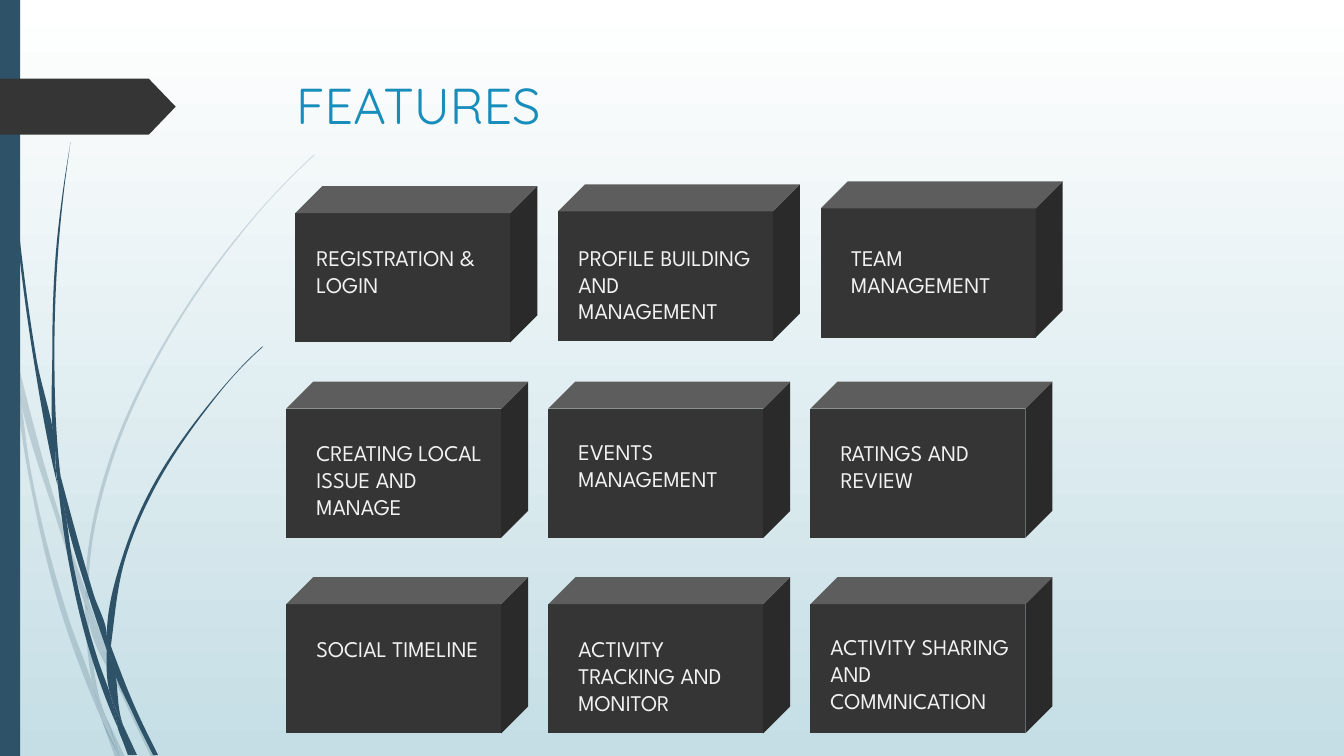
from dataclasses import dataclass

from lxml import etree
from pptx import Presentation
from pptx import util as u
from pptx.dml.color import RGBColor
from pptx.enum import shapes, text
from pptx.oxml.ns import qn

NAVY, CHARCOAL, BLUE, PALE_TEXT = "2E5369", "353535", "178DBB", "F2F2F2"
CUBE_SIZE = (172.8, 111.6)
FIRST_CUBE = (204.5, 132.9)
CUBE_STEP = (187.2, 139.7)
LABEL_INSET = (14.4, 37.7)
COLUMNS = 3
Edge = list[tuple[float, float]]


@dataclass
class Feature:
    """One cube with its caption, and small shifts from the grid."""
    caption: str
    cube_shift: tuple[float, float] = (0, 0)
    label_shift: tuple[float, float] = (0, 0)
    label_width: float = 143.3


@dataclass
class Blade:
    """Part of a grass stem: its two edges, from top to bottom."""
    left: Edge
    right: Edge


FEATURES = [
    Feature("REGISTRATION & LOGIN", (6.5, 0)),
    Feature("PROFILE BUILDING AND MANAGEMENT", (6.9, -1.2)),
    Feature("TEAM MANAGEMENT", (7.4, -3.4), (7.5, 0)),
    Feature("CREATING LOCAL ISSUE AND MANAGE"),
    Feature("EVENTS MANAGEMENT", label_shift=(0, -0.7)),
    Feature("RATINGS AND REVIEW"),
    Feature("SOCIAL TIMELINE"),
    Feature("ACTIVITY TRACKING AND MONITOR"),
    Feature("ACTIVITY SHARING AND COMMNICATION", label_shift=(-7.2, -1.2), label_width=157.7),
]

PALE_BLADES = [
    Blade([(0, 215.3), (7.2, 247.7), (7.9, 252)], [(0, 203), (6.5, 231.8), (7.9, 252)]),
    Blade([(10.1, 248.4), (12.2, 270.7), (41.8, 375.8), (60.5, 431.3)],
          [(10.1, 248.4), (44.6, 374.4), (61.2, 421.9)]),
    Blade([(63.4, 429.1), (63.4, 439.2), (88.6, 499.7), (108, 540.7)],
          [(63.4, 429.1), (66.2, 437), (91.4, 498.2), (111.6, 540.7)]),
    Blade([(75.6, 511.9), (85.7, 540.7)], [(75.6, 511.9), (89.3, 540.7)]),
    Blade([(7.9, 252), (20.2, 338.4), (46.8, 447.1), (66.2, 499), (72.7, 514.1)],
          [(7.9, 252), (12.2, 270.7), (22.3, 337.7), (50.4, 445.7), (67, 491.8),
           (71.3, 509), (72.7, 514.1)]),
    Blade([(60.5, 431.3), (62.6, 465.1), (67, 491.8), (69.1, 498.2), (75.6, 511.9)],
          [(60.5, 431.3), (63.4, 437.8), (63.4, 439.2), (65.5, 465.1), (74.2, 508.3),
           (75.6, 511.9)]),
    Blade([(224.6, 110.2), (208.1, 126), (193, 141.8), (164.2, 175.7), (113.8, 250.6),
           (77, 331.9), (61.2, 420.5), (61.2, 421.9), (63.4, 429.1)],
          [(224.6, 110.9), (208.8, 126), (193, 142.6), (164.9, 176.4), (115.2, 251.3),
           (79.2, 332.6), (63.4, 420.5), (63.4, 429.1)]),
    Blade([(72.7, 514.1), (82.1, 540.7)], [(72.7, 514.1), (85.7, 540.7)]),
    Blade([(61.2, 421.9), (60.5, 431.3), (63.4, 437.8), (63.4, 439.2)],
          [(61.2, 421.9), (63.4, 429.1), (63.4, 439.2)]),
    Blade([(67, 491.8), (71.3, 509), (72.7, 514.1), (85.7, 540.7)],
          [(67, 491.8), (69.1, 498.2), (75.6, 511.9), (85.7, 540.7)]),
]

DARK_BLADES = [
    Blade([(2.2, 0), (2.9, 34.6), (5, 79.2), (12.2, 167.8), (23.8, 255.6), (40.3, 343.4),
           (41, 346.3)],
          [(2.9, 0), (3.6, 34.6), (5.8, 78.5), (13.7, 167), (25.9, 255.6), (39.6, 326.2),
           (39.6, 329), (41, 346.3)]),
    Blade([(43.2, 339.8), (46.1, 363.6), (63.4, 426.2), (76.3, 464.4)],
          [(43.2, 339.8), (67, 424.8), (76.3, 454.3), (76.3, 464.4)]),
    Blade([(79.2, 461.5), (79.9, 472.3), (95, 509.8), (109.4, 539.3)],
          [(79.2, 461.5), (81.4, 467.3), (97.9, 508.3), (113, 539.3)]),
    Blade([(41, 343.4), (49, 401), (67, 474.5), (79.9, 509.8), (84.2, 519.8)],
          [(41, 343.4), (46.1, 363.6), (51.8, 400.3), (70.6, 473), (79.2, 497.5),
           (83.5, 516.2), (84.2, 519.8)]),
    Blade([(50.4, 101.5), (44.6, 139), (40.3, 176.4), (37.4, 251.3), (39.6, 323.3),
           (43.2, 339.8)],
          [(50.4, 101.5), (45.4, 139), (41.8, 176.4), (38.9, 251.3), (41.8, 326.2),
           (43.2, 339.8)]),
    Blade([(87.8, 517.7), (95.8, 539.3)], [(87.8, 517.7), (97.9, 539.3)]),
    Blade([(39.6, 323.3), (39.6, 326.2), (41, 343.4), (46.1, 363.6)],
          [(39.6, 323.3), (43.2, 339.8), (46.1, 363.6)]),
    Blade([(187.2, 247.7), (176.4, 257.8), (166.3, 268.6), (146.9, 291.6), (112.3, 341.3),
           (87.8, 396.7), (76.3, 454.3), (79.2, 461.5)],
          [(187.9, 247.7), (176.4, 258.5), (166.3, 269.3), (147.6, 292.3), (113.8, 342.7),
           (90, 397.4), (79.9, 455.8), (79.2, 461.5)]),
    Blade([(84.2, 519.8), (91.4, 539.3)], [(84.2, 519.8), (94.3, 539.3)]),
    Blade([(76.3, 464.4), (79.2, 497.5), (83.5, 508.3), (87.8, 517.7)],
          [(76.3, 464.4), (78.5, 468.7), (79.9, 472.3), (87.1, 515.5), (87.8, 517.7)]),
    Blade([(76.3, 454.3), (76.3, 464.4), (78.5, 468.7), (79.9, 472.3)],
          [(76.3, 454.3), (79.2, 461.5), (79.9, 472.3)]),
    Blade([(79.2, 497.5), (83.5, 516.2), (84.2, 519.8), (93.6, 539.3)],
          [(79.2, 497.5), (83.5, 508.3), (87.8, 517.7), (95.8, 539.3)]),
]


def colour(code: str) -> RGBColor:
    """Turn a hex string into a colour."""
    return RGBColor.from_string(code)


def set_all(target, values: dict) -> None:
    """Set every named attribute on the target."""
    for name, value in values.items():
        setattr(target, name, value)


def paint(shape, code: str, opacity: int = 100) -> None:
    """Give a shape a plain fill, without line or shadow."""
    shape.shadow.inherit = False
    shape.fill.solid()
    shape.fill.fore_color.rgb = colour(code)
    shape.line.fill.background()
    if opacity < 100:
        tint = shape.element.spPr.find(qn("a:solidFill")).find(qn("a:srgbClr"))
        etree.SubElement(tint, qn("a:alpha")).set("val", str(opacity * 1000))


def add_block(page, kind, left: float, top: float, width: float, height: float, code: str):
    """Add a painted preset shape."""
    block = page.shapes.add_shape(kind, u.Pt(left), u.Pt(top), u.Pt(width), u.Pt(height))
    paint(block, code)
    return block


def add_label(page, caption: str, left: float, top: float, width: float, height: float,
              font: dict, code: str) -> None:
    """Add a wrapping text box with one span of text."""
    box = page.shapes.add_textbox(u.Pt(left), u.Pt(top), u.Pt(width), u.Pt(height))
    set_all(box.text_frame, {"word_wrap": True, "vertical_anchor": text.MSO_ANCHOR.TOP})
    span = box.text_frame.paragraphs[0].add_run()
    span.text = caption
    set_all(span.font, font)
    span.font.color.rgb = colour(code)


def bezier_edge(edge: Edge) -> Edge:
    """Put two control points between neighbours, for a smooth edge."""
    pairs = list(zip(edge, edge[1:]))
    rises = [b[1] - a[1] for a, b in pairs]
    leans = [(b[0] - a[0]) / rise for (a, b), rise in zip(pairs, rises)]
    inner = [(m * k + n * h) / (h + k) if m * n > 0 else 0
             for m, n, h, k in zip(leans, leans[1:], rises, rises[1:])]
    first = (3 * leans[0] - inner[0]) / 2 if inner else leans[0]
    final = (3 * leans[-1] - inner[-1]) / 2 if inner else leans[-1]
    slopes = [first, *inner, final]
    points = [edge[0]]
    for (a, b), rise, m, n in zip(pairs, rises, slopes, slopes[1:]):
        third = rise / 3
        points += [(a[0] + m * third, a[1] + third), (b[0] - n * third, b[1] - third), b]
    return points


def add_blade(group, blade: Blade, opacity: int) -> None:
    """Draw a blade down its left edge and back up its right edge."""
    left, right = bezier_edge(blade.left), bezier_edge(blade.right)[::-1]
    joined = left[-1] == right[0]
    outline = [(u.Pt(x), u.Pt(y)) for x, y in left + right[joined:]]
    builder = group.shapes.build_freeform(*outline[0])
    builder.add_line_segments(outline[1:], close=True)
    shape = builder.convert_to_shape()
    lines = list(shape.element.spPr.iter(qn("a:lnTo")))
    down = len(left) - 1
    up = down if joined else down + 1
    for start in [*range(0, down, 3), *range(up, up + len(right) - 1, 3)]:
        curve = etree.Element(qn("a:cubicBezTo"))
        lines[start].addprevious(curve)
        for line in lines[start:start + 3]:
            curve.append(line[0])
            line.getparent().remove(line)
    paint(shape, NAVY, opacity)


def add_feature(page, index: int, feature: Feature) -> None:
    """Place a feature's cube and caption in the grid."""
    row, column = divmod(index, COLUMNS)
    left, top = FIRST_CUBE[0] + column * CUBE_STEP[0], FIRST_CUBE[1] + row * CUBE_STEP[1]
    cube = add_block(page, shapes.MSO_SHAPE.CUBE, left + feature.cube_shift[0],
                     top + feature.cube_shift[1], *CUBE_SIZE, CHARCOAL)
    cube.adjustments[0] = 0.173
    add_label(page, feature.caption, left + LABEL_INSET[0] + feature.label_shift[0],
              top + LABEL_INSET[1] + feature.label_shift[1], feature.label_width, 65.5,
              {"name": "League Spartan", "size": u.Pt(16)}, PALE_TEXT)


def add_background(page) -> None:
    """Fill the page with a gradient from white down to pale blue."""
    fill = page.background.fill
    fill.gradient()
    fill.gradient_angle = 270
    for stop, code in zip(fill.gradient_stops, ("FFFFFF", "C5DEE5")):
        stop.color.rgb = colour(code)


deck = Presentation()
set_all(deck, {"slide_width": u.Pt(960), "slide_height": u.Pt(540)})
page = deck.slides.add_slide(deck.slide_layouts[6])
add_background(page)
for blades, opacity in ((PALE_BLADES, 20), (DARK_BLADES, 100)):
    group = page.shapes.add_group_shape()
    for blade in blades:
        add_blade(group, blade, opacity)
add_block(page, shapes.MSO_SHAPE.RECTANGLE, 0, 0, 14.4, 540, NAVY)
tag = add_block(page, shapes.MSO_SHAPE.PENTAGON, 0, 56.2, 125.5, 40, CHARCOAL)
tag.adjustments[0] = 0.48
add_label(page, "FEATURES", 204.5, 49.3, 702, 100.8,
          {"name": "Quicksand", "size": u.Pt(36)}, BLUE)
for index, feature in enumerate(FEATURES):
    add_feature(page, index, feature)
deck.save("out.pptx")
